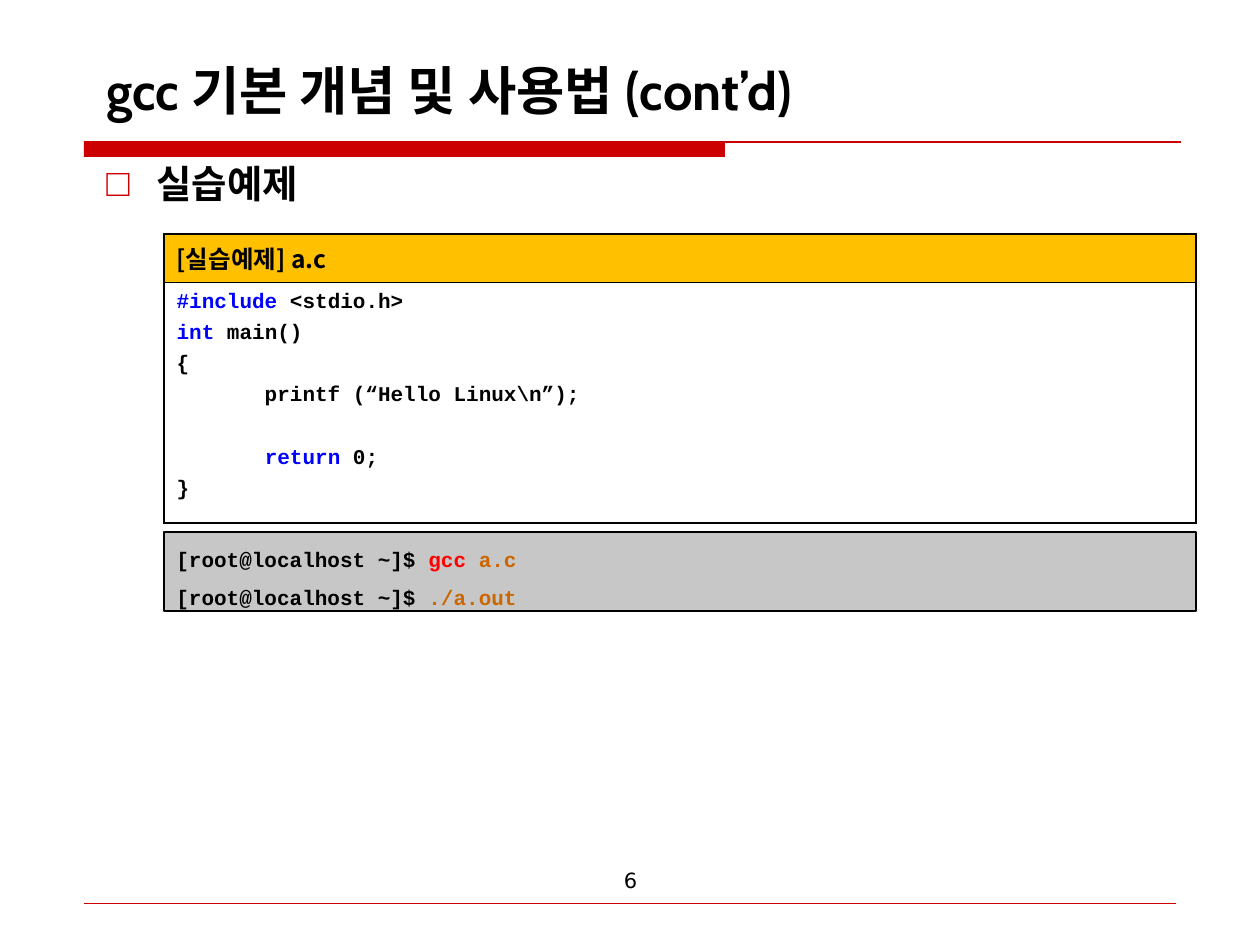
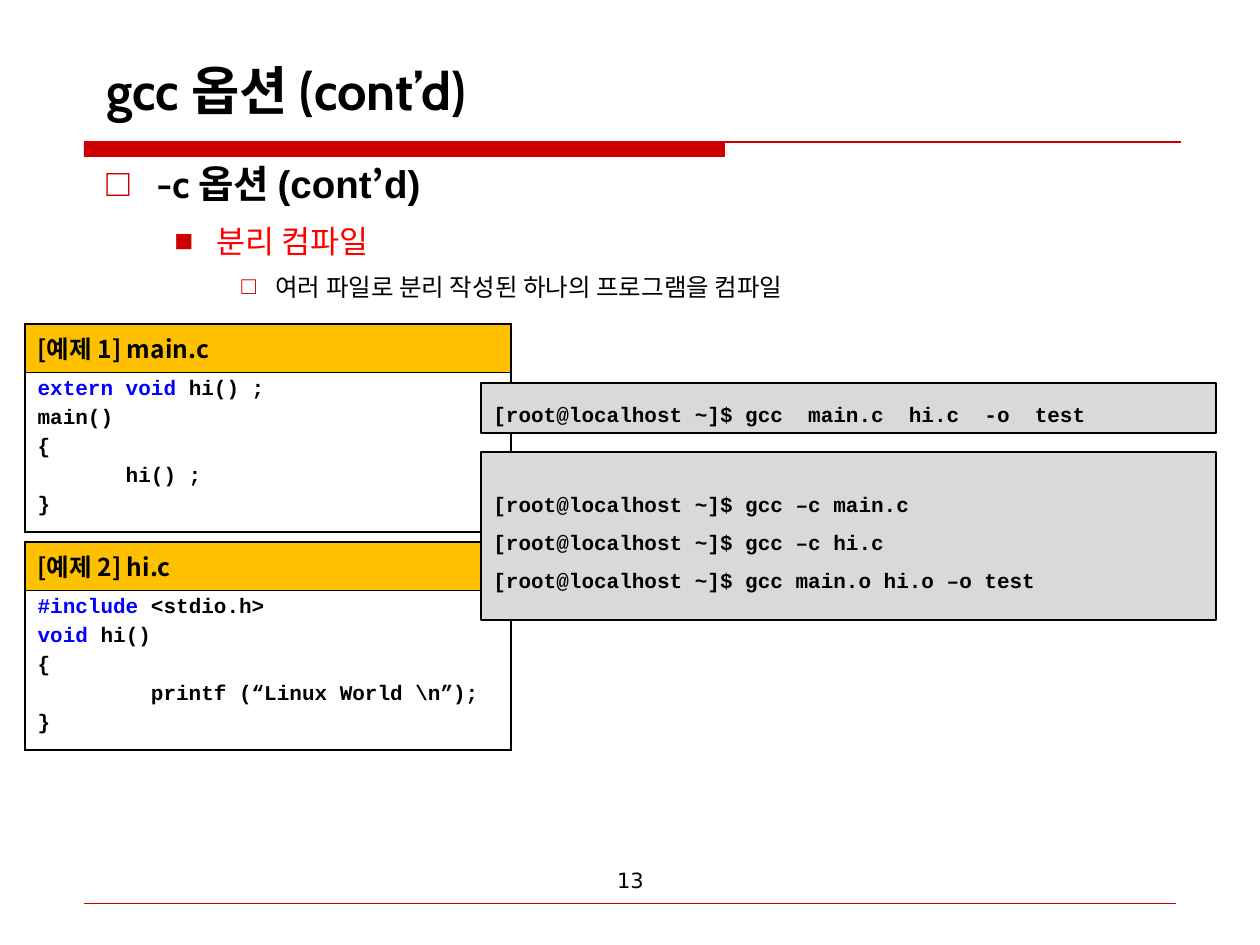
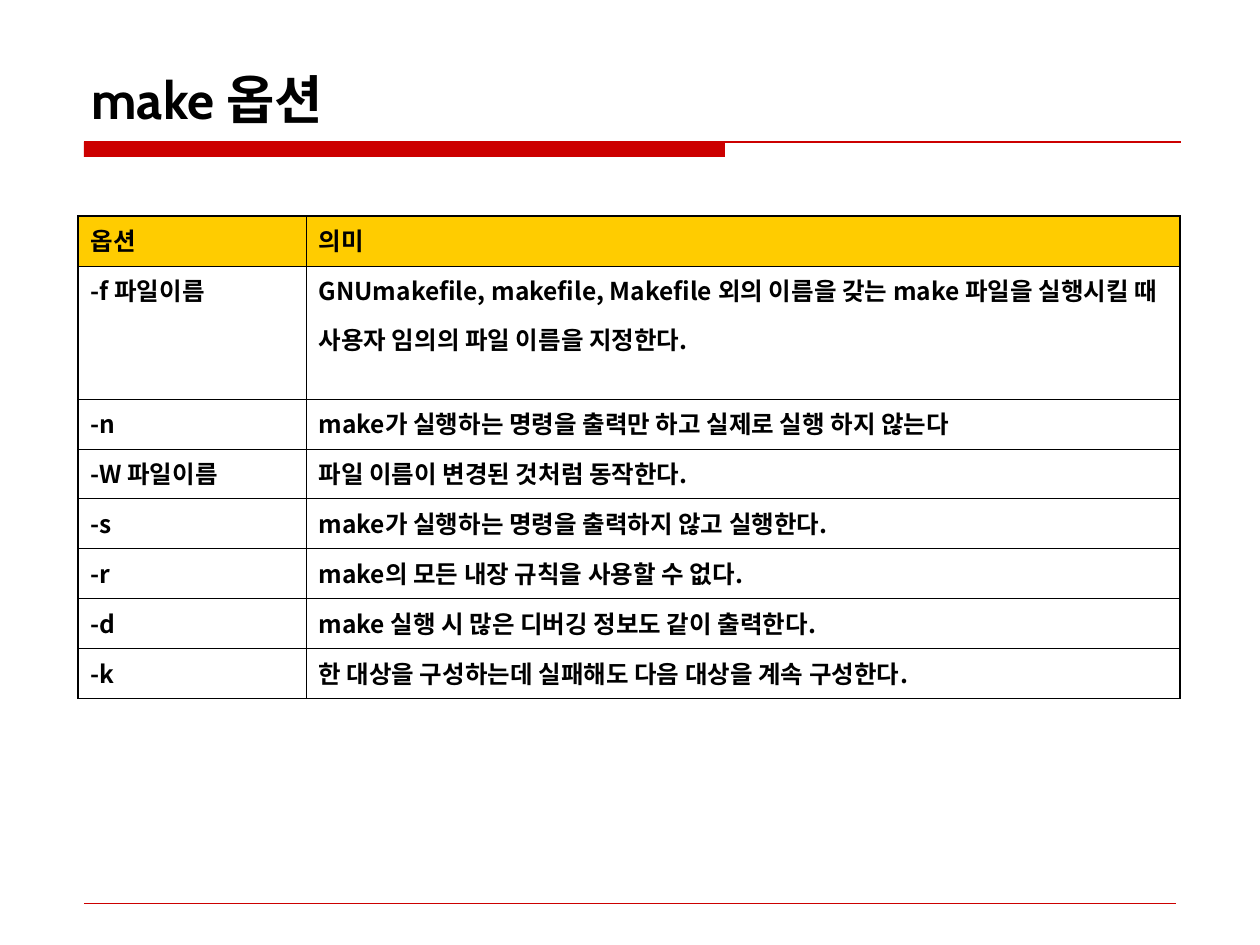
from dataclasses import dataclass, replace

import lxml.etree
import pptx
import pptx.dml.color
import pptx.enum.shapes
import pptx.enum.text
import pptx.oxml.ns
import pptx.slide
import pptx.table
import pptx.text.text
import pptx.util

EMU_PER_PX = 914400 / 126
COLORS = {
    "black": "000000",
    "red": "FF0000",
    "accent": "CC0000",
    "keyword": "0000FF",
    "argument": "CC6600",
    "code_header": "FFC000",
    "option_header": "FFCC00",
    "console": "C7C7C7",
    "console_light": "D9D9D9",
}
KOREAN_FONT = "Noto Sans CJK KR"
OUTER_BORDER, INNER_BORDER = 1.08, 0.45
PROMPT = "[root@localhost ~]$ "


@dataclass(frozen=True)
class Box:
    """A place on the slide in px."""

    left: int
    top: int
    width: int
    height: int


@dataclass(frozen=True)
class Style:
    """The look of a paragraph; spacing is in points, indents in px."""

    size: int
    font: str
    bold: bool = False
    color: str = "black"
    line_spacing: float | None = None
    before: float = 0
    margin: int = 0
    hanging: int = 0
    bullet: str = ""
    level: int = 0
    centered: bool = False


@dataclass(frozen=True)
class Span:
    """A piece of text that may differ from its paragraph."""

    text: str
    color: str = ""
    font: str = ""


@dataclass(frozen=True)
class Line:
    """One paragraph."""

    style: Style
    spans: tuple[Span, ...]


@dataclass(frozen=True)
class Listing:
    """A titled source file in a two-row table."""

    left: int
    top: int
    width: int
    code_height: int
    title: str
    lines: list[Line]


TITLE = Style(30, "Cabin", bold=True)
PAGE_NUMBER = Style(12, "DejaVu Sans", centered=True)
TOPIC = Style(22, "Arial", True, line_spacing=1.2, before=5.5, margin=50, hanging=50, bullet="□")
SUBTOPIC = Style(18, KOREAN_FONT, False, "red", 1.2, 4.5, 110, 42, "■", 1)
DETAIL = Style(14, "Arial", False, "black", 1.2, 3.5, 169, 34, "□", 2)
CELL = Style(14, KOREAN_FONT, bold=True, before=3.5)
CODE = Style(12, "Courier New", bold=True, before=3, margin=58, hanging=58)
LOOSE_CODE = replace(CODE, line_spacing=1.1)
CONSOLE = Style(12, "Courier New", bold=True, line_spacing=1.5)

TITLE_BOX = Box(94, 35, 1101, 92)
BODY_BOX = Box(94, 145, 1091, 717)
PAGE_BOX = Box(431, 861, 399, 66)

OPTIONS = [
    ("옵션", "의미"),
    ("-f 파일이름", "GNUmakefile, makefile, Makefile 외의 이름을 갖는 make 파일을 실행시킬 때"),
    ("-n", "make가 실행하는 명령을 출력만 하고 실제로 실행 하지 않는다"),
    ("-W 파일이름", "파일 이름이 변경된 것처럼 동작한다."),
    ("-s", "make가 실행하는 명령을 출력하지 않고 실행한다."),
    ("-r", "make의 모든 내장 규칙을 사용할 수 없다."),
    ("-d", "make 실행 시 많은 디버깅 정보도 같이 출력한다."),
    ("-k", "한 대상을 구성하는데 실패해도 다음 대상을 계속 구성한다."),
]
FILE_OPTION_NOTE = "사용자 임의의 파일 이름을 지정한다."


def px(length: int) -> pptx.util.Emu:
    """Turn px into EMU."""
    return pptx.util.Emu(round(length * EMU_PER_PX))


def place(box: Box) -> tuple[pptx.util.Emu, ...]:
    """Give left, top, width and height in EMU."""
    return px(box.left), px(box.top), px(box.width), px(box.height)


def rgb(name: str) -> pptx.dml.color.RGBColor:
    """Look up a colour."""
    return pptx.dml.color.RGBColor.from_string(COLORS[name])


def add_element(parent: lxml.etree._Element, tag: str, **attributes: str) -> lxml.etree._Element:
    """Append a DrawingML element."""
    return lxml.etree.SubElement(parent, pptx.oxml.ns.qn(f"a:{tag}"), attributes)


def line(style: Style, *spans: str | Span) -> Line:
    """Make a paragraph from plain strings and spans."""
    return Line(style, tuple(Span(span) if isinstance(span, str) else span for span in spans))


def keyword(text: str) -> Span:
    """Make a coloured keyword of the code."""
    return Span(text, "keyword")


def format_paragraph(paragraph: pptx.text.text._Paragraph, style: Style, first: bool) -> None:
    """Apply a style to a paragraph."""
    align = pptx.enum.text.PP_ALIGN
    paragraph.alignment = align.CENTER if style.centered else align.LEFT
    paragraph.level = style.level
    if style.line_spacing:
        paragraph.line_spacing = style.line_spacing
    paragraph.space_before = pptx.util.Pt(0 if first else style.before)
    properties = paragraph._p.get_or_add_pPr()
    if style.margin:
        properties.set("marL", str(px(style.margin)))
        properties.set("indent", str(-px(style.hanging)))
    if style.bullet:
        add_element(add_element(properties, "buClr"), "srgbClr", val=COLORS["accent"])
        add_element(properties, "buFont", typeface="Arial")
        add_element(properties, "buChar", char=style.bullet)
    font = paragraph.font
    font.size = pptx.util.Pt(style.size)
    font.bold = style.bold
    font.name = style.font
    font.color.rgb = rgb(style.color)
    add_element(properties.find(pptx.oxml.ns.qn("a:defRPr")), "ea", typeface=KOREAN_FONT)


def write(frame: pptx.text.text.TextFrame, lines: list[Line]) -> None:
    """Fill a text frame with paragraphs."""
    for index, item in enumerate(lines):
        paragraph = frame.add_paragraph() if index else frame.paragraphs[0]
        format_paragraph(paragraph, item.style, index == 0)
        for span in item.spans:
            run = paragraph.add_run()
            run.text = span.text
            if span.color:
                run.font.color.rgb = rgb(span.color)
            if span.font:
                run.font.name = span.font


def add_text(slide: pptx.slide.Slide, box: Box, lines: list[Line], bottom: bool = False) -> None:
    """Draw a text box."""
    frame = slide.shapes.add_textbox(*place(box)).text_frame
    frame.word_wrap = True
    anchor = pptx.enum.text.MSO_ANCHOR
    frame.vertical_anchor = anchor.BOTTOM if bottom else anchor.TOP
    write(frame, lines)


def add_rectangle(slide: pptx.slide.Slide, box: Box, fill: str, border: str = "") -> pptx.text.text.TextFrame:
    """Draw a rectangle and give its text frame."""
    kind = pptx.enum.shapes.MSO_SHAPE.RECTANGLE
    shape = slide.shapes.add_shape(kind, *place(box))
    shape.shadow.inherit = False
    shape.fill.solid()
    shape.fill.fore_color.rgb = rgb(fill)
    if border:
        shape.line.color.rgb = rgb(border)
        shape.line.width = pptx.util.Pt(1)
    else:
        shape.line.fill.background()
    return shape.text_frame


def add_rule(slide: pptx.slide.Slide, left: int, right: int, top: int, width: float) -> None:
    """Draw a horizontal accent line."""
    kind = pptx.enum.shapes.MSO_CONNECTOR.STRAIGHT
    rule = slide.shapes.add_connector(kind, px(left), px(top), px(right), px(top))
    rule.line.color.rgb = rgb("accent")
    rule.line.width = pptx.util.Pt(width)
    add_element(rule._element.spPr, "effectLst")


def add_console(slide: pptx.slide.Slide, box: Box, fill: str, lines: list[Line]) -> None:
    """Draw a terminal panel."""
    frame = add_rectangle(slide, box, fill, "black")
    frame.word_wrap = True
    frame.vertical_anchor = pptx.enum.text.MSO_ANCHOR.MIDDLE
    write(frame, lines)


def set_borders(cell: pptx.table._Cell, outer_sides: dict[str, bool]) -> None:
    """Draw the four borders of a cell, heavier on the table's edge."""
    properties = cell._tc.get_or_add_tcPr()
    for side, outer in outer_sides.items():
        width = pptx.util.Pt(OUTER_BORDER if outer else INNER_BORDER)
        border = add_element(properties, f"ln{side}", w=str(width))
        add_element(add_element(border, "solidFill"), "srgbClr", val=COLORS["black"])


def add_grid(
    slide: pptx.slide.Slide,
    left: int,
    top: int,
    widths: list[int],
    heights: list[int],
    header: str,
    rows: list[list[list[Line]]],
) -> None:
    """Draw a table with a coloured header row."""
    box = Box(left, top, sum(widths), sum(heights))
    table = slide.shapes.add_table(len(heights), len(widths), *place(box)).table
    table.first_row = table.horz_banding = False
    for column, width in zip(table.columns, widths):
        column.width = px(width)
    for row, height in zip(table.rows, heights):
        row.height = px(height)
    last_row, last_column = len(heights) - 1, len(widths) - 1
    for row_index, row in enumerate(rows):
        for column_index, lines in enumerate(row):
            cell = table.cell(row_index, column_index)
            set_borders(cell, {
                "L": column_index == 0,
                "R": column_index == last_column,
                "T": row_index == 0,
                "B": row_index == last_row,
            })
            if row_index == 0:
                cell.fill.solid()
                cell.fill.fore_color.rgb = rgb(header)
            else:
                cell.fill.background()
            write(cell.text_frame, lines)


def add_listing(slide: pptx.slide.Slide, listing: Listing) -> None:
    """Draw a source file under its name."""
    rows = [[[line(CELL, listing.title)]], [listing.lines]]
    heights = [48, listing.code_height]
    add_grid(slide, listing.left, listing.top, [listing.width], heights, "code_header", rows)


def add_slide(
    presentation: pptx.presentation.Presentation, title: str, page: str = "", title_box: Box = TITLE_BOX
) -> pptx.slide.Slide:
    """Start a slide with its band, footer line, page number and title."""
    slide = presentation.slides.add_slide(presentation.slide_layouts[6])
    add_rectangle(slide, Box(84, 142, 641, 15), "accent")
    add_rule(slide, 84, 1181, 142, 0.75)
    add_rule(slide, 84, 1176, 903, 0.25)
    if page:
        add_text(slide, PAGE_BOX, [line(PAGE_NUMBER, page)])
    add_text(slide, title_box, [line(TITLE, title)], bottom=True)
    return slide


def build_example_slide(presentation: pptx.presentation.Presentation) -> None:
    """Build the first compile exercise."""
    slide = add_slide(presentation, "gcc 기본 개념 및 사용법 (cont’d)", "6")
    add_text(slide, BODY_BOX, [line(TOPIC, "실습예제")])
    add_listing(slide, Listing(164, 234, 1032, 241, "[실습예제] a.c", [
        line(LOOSE_CODE, keyword("#include"), " <stdio.h>"),
        line(LOOSE_CODE, keyword("int "), "main()"),
        line(LOOSE_CODE, "{"),
        line(LOOSE_CODE, "       printf (“Hello Linux\\n”);"),
        line(LOOSE_CODE, "       "),
        line(LOOSE_CODE, "       ", keyword("return"), " 0;"),
        line(LOOSE_CODE, "}"),
    ]))
    add_console(slide, Box(164, 532, 1032, 79), "console", [
        line(CONSOLE, PROMPT, Span("gcc ", "red"), Span("a.c", "argument")),
        line(CONSOLE, PROMPT, Span("./a.out", "argument")),
    ])


def build_separate_compile_slide(presentation: pptx.presentation.Presentation) -> None:
    """Build the slide on compiling several files."""
    slide = add_slide(presentation, "gcc 옵션 (cont’d)", "13")
    add_text(slide, BODY_BOX, [
        line(TOPIC, Span("-c ", font="Cabin"), "옵션 (cont", Span("’", font=KOREAN_FONT), "d)"),
        line(SUBTOPIC, "분리 컴파일"),
        line(DETAIL, "여러 파일로 분리 작성된 하나의 프로그램을 컴파일"),
    ])
    main_lines = [
        line(CODE, keyword("extern void"), " hi() ;"),
        line(CODE, "main()"),
        line(CODE, "{"),
        line(CODE, "       hi() ;"),
        line(CODE, "}"),
    ]
    hi_lines = [
        line(CODE, keyword("#include"), " <stdio.h>"),
        line(CODE, keyword("void"), " hi()"),
        line(CODE, "{"),
        line(CODE, "         printf (“Linux World \\n”);"),
        line(CODE, "}"),
    ]
    add_listing(slide, Listing(25, 324, 486, 160, "[예제 1] main.c", main_lines))
    add_listing(slide, Listing(25, 542, 486, 160, "[예제 2] hi.c", hi_lines))
    panels = [
        (Box(481, 383, 735, 50), ["gcc  main.c  hi.c  -o  test"]),
        (Box(481, 452, 735, 168), ["gcc –c main.c", "gcc –c hi.c", "gcc main.o hi.o –o test"]),
    ]
    for box, commands in panels:
        lines = [line(CONSOLE, PROMPT + command) for command in commands]
        add_console(slide, box, "console_light", lines)


def build_make_options_slide(presentation: pptx.presentation.Presentation) -> None:
    """Build the table of make options."""
    slide = add_slide(presentation, "make 옵션", title_box=Box(79, 42, 1102, 94))
    rows = [[[line(CELL, text)] for text in option] for option in OPTIONS]
    rows[1][1].append(line(replace(CELL, line_spacing=1.2), FILE_OPTION_NOTE))
    heights = [50, 133] + [50] * (len(OPTIONS) - 2)
    add_grid(slide, 78, 216, [228, 874], heights, "option_header", rows)


def main() -> None:
    """Build and save the presentation."""
    presentation = pptx.Presentation()
    presentation.slide_width = px(1260)
    presentation.slide_height = px(945)
    build_example_slide(presentation)
    build_separate_compile_slide(presentation)
    build_make_options_slide(presentation)
    presentation.save("out.pptx")


if __name__ == "__main__":
    main()
